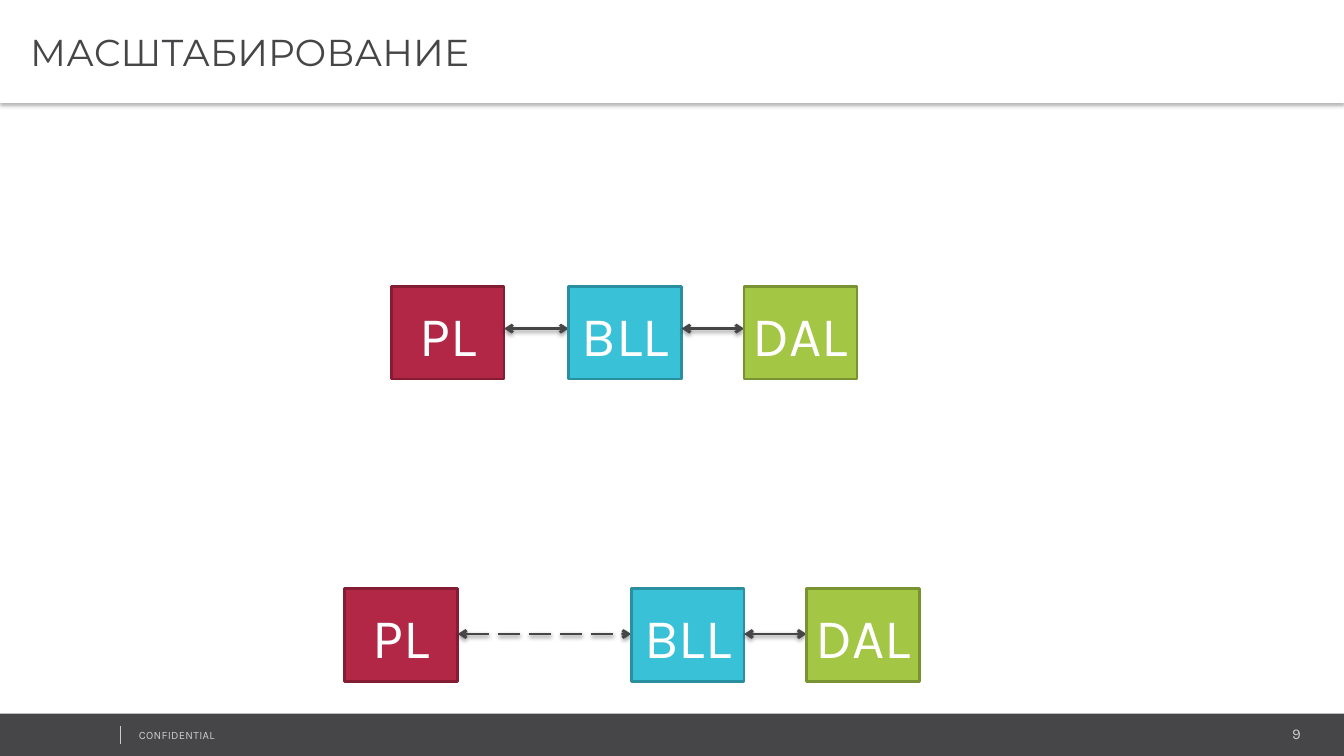
from pptx import Presentation
from pptx.dml.color import RGBColor
from pptx.enum import dml, shapes, text
from pptx.oxml import parse_xml
from pptx.oxml.ns import nsdecls
from pptx.util import Inches, Pt

COLORS = {
    "white": "FFFFFF", "dark": "464547", "light": "CCCCCC",
    "red": "B22746", "red_edge": "841D34",
    "blue": "39C2D7", "blue_edge": "2A909F",
    "green": "A3C644", "green_edge": "799232",
}
LAYERS = [("PL", "red"), ("BLL", "blue"), ("DAL", "green")]
BOX_WIDTH, BOX_HEIGHT = 1.12, 0.92


def color(name):
    return RGBColor.from_string(COLORS[name])


def add_run(paragraph, content, size, font, fill):
    run = paragraph.add_run()
    run.text = content
    run.font.size = Pt(size)
    run.font.name = font
    run.font.color.rgb = color(fill)
    return run


def set_shadow(shape, opacity, distance):
    shape._element.spPr.append(parse_xml(
        f'<a:effectLst {nsdecls("a")}><a:outerShdw blurRad="{Pt(3.1)}" '
        f'dist="{Pt(distance)}" dir="5400000" algn="t" rotWithShape="0">'
        f'<a:srgbClr val="000000"><a:alpha val="{opacity * 1000}"/></a:srgbClr>'
        f'</a:outerShdw></a:effectLst>'))


def add_rectangle(slide, left, top, width, height, fill, edge=None):
    shape = slide.shapes.add_shape(
        shapes.MSO_SHAPE.RECTANGLE, Inches(left), Inches(top), Inches(width), Inches(height))
    shape.shadow.inherit = False
    shape.fill.solid()
    shape.fill.fore_color.rgb = color(fill)
    if edge:
        shape.line.color.rgb = color(edge)
        shape.line.width = Pt(2)
    else:
        shape.line.fill.background()
    return shape


def add_line(slide, start, end, fill, width):
    line = slide.shapes.add_connector(
        shapes.MSO_CONNECTOR.STRAIGHT, *(Inches(value) for value in (*start, *end)))
    line.line.color.rgb = color(fill)
    line.line.width = Pt(width)
    return line


def add_arrow(slide, left, right, y, dashed):
    arrow = add_line(slide, (left, y), (right, y), "dark", 2)
    if dashed:
        arrow.line.dash_style = dml.MSO_LINE.LONG_DASH
    outline = arrow.line._get_or_add_ln()
    for end in ("headEnd", "tailEnd"):
        outline.append(parse_xml(f'<a:{end} {nsdecls("a")} type="arrow"/>'))
    set_shadow(arrow, 38, 1.6)


def add_layer(slide, left, top, name, fill):
    box = add_rectangle(slide, left, top, BOX_WIDTH, BOX_HEIGHT, fill, f"{fill}_edge")
    frame = box.text_frame
    frame.word_wrap = False
    frame.vertical_anchor = text.MSO_ANCHOR.MIDDLE
    frame.margin_left = frame.margin_right = 0
    frame.margin_top, frame.margin_bottom = Inches(0.05), Inches(0.02)
    paragraph = frame.paragraphs[0]
    paragraph.alignment = text.PP_ALIGN.CENTER
    add_run(paragraph, name, 40, "Karla", fill="white")


def add_layer_chain(slide, left, top, gaps, arrow_offset, dashed):
    for index, (name, fill) in enumerate(LAYERS):
        add_layer(slide, left, top, name, fill)
        if index < len(gaps):
            right = left + BOX_WIDTH
            left = right + gaps[index]
            add_arrow(slide, right, left, top + arrow_offset, dashed[index])


def add_title(slide, left, top, width, height):
    title = slide.shapes.title
    title.left, title.top = Inches(left), Inches(top)
    title.width, title.height = Inches(width), Inches(height)
    title.fill.solid()
    title.fill.fore_color.rgb = color("white")
    set_shadow(title, 30, 2)
    frame = title.text_frame
    frame.auto_size = text.MSO_AUTO_SIZE.NONE
    frame.vertical_anchor = text.MSO_ANCHOR.MIDDLE
    frame.margin_left, frame.margin_right = Inches(0.3), Inches(0.07)
    frame.margin_top = frame.margin_bottom = Inches(0.04)
    paragraph = frame.paragraphs[0]
    paragraph.alignment = text.PP_ALIGN.LEFT
    add_run(paragraph, "МАСШТАБИРОВАНИЕ", 26.7, "Montserrat", "dark")


def add_footer_text(slide, left, top, width, height, content, size, alignment):
    box = slide.shapes.add_textbox(Inches(left), Inches(top), Inches(width), Inches(height))
    box.text_frame.word_wrap = True
    paragraph = box.text_frame.paragraphs[0]
    paragraph.alignment = alignment
    return add_run(paragraph, content, size, "Karla", "light")


def add_footer(slide, left, top, width, height):
    add_rectangle(slide, left, top, width, height, "dark")
    add_footer_text(slide, left + 10.82, top + 0.06, 2.18, 0.28, "9", 10.7,
                    text.PP_ALIGN.RIGHT)
    label = add_footer_text(slide, left + 1.28, top + 0.1, 3.38, 0.24, "CONFIDENTIAL", 8,
                            text.PP_ALIGN.LEFT)
    label._r.get_or_add_rPr().set("spc", "20")
    divider = add_line(slide, (left + 1.19, top + 0.12), (left + 1.19, top + 0.3), "light", 0.25)
    divider._element.spPr.append(parse_xml(f'<a:effectLst {nsdecls("a")}/>'))


def main():
    presentation = Presentation()
    presentation.slide_width, presentation.slide_height = Inches(13.33), Inches(7.5)
    slide = presentation.slides.add_slide(presentation.slide_layouts[5])
    add_footer(slide, 0, 7.08, 13.33, 0.42)
    add_title(slide, 0, 0, 13.33, 1.02)
    add_layer_chain(slide, 3.88, 2.84, (0.64, 0.62), 0.42, (False, False))
    add_layer_chain(slide, 3.42, 5.84, (1.72, 0.62), 0.45, (True, False))
    presentation.save("out.pptx")


if __name__ == "__main__":
    main()
